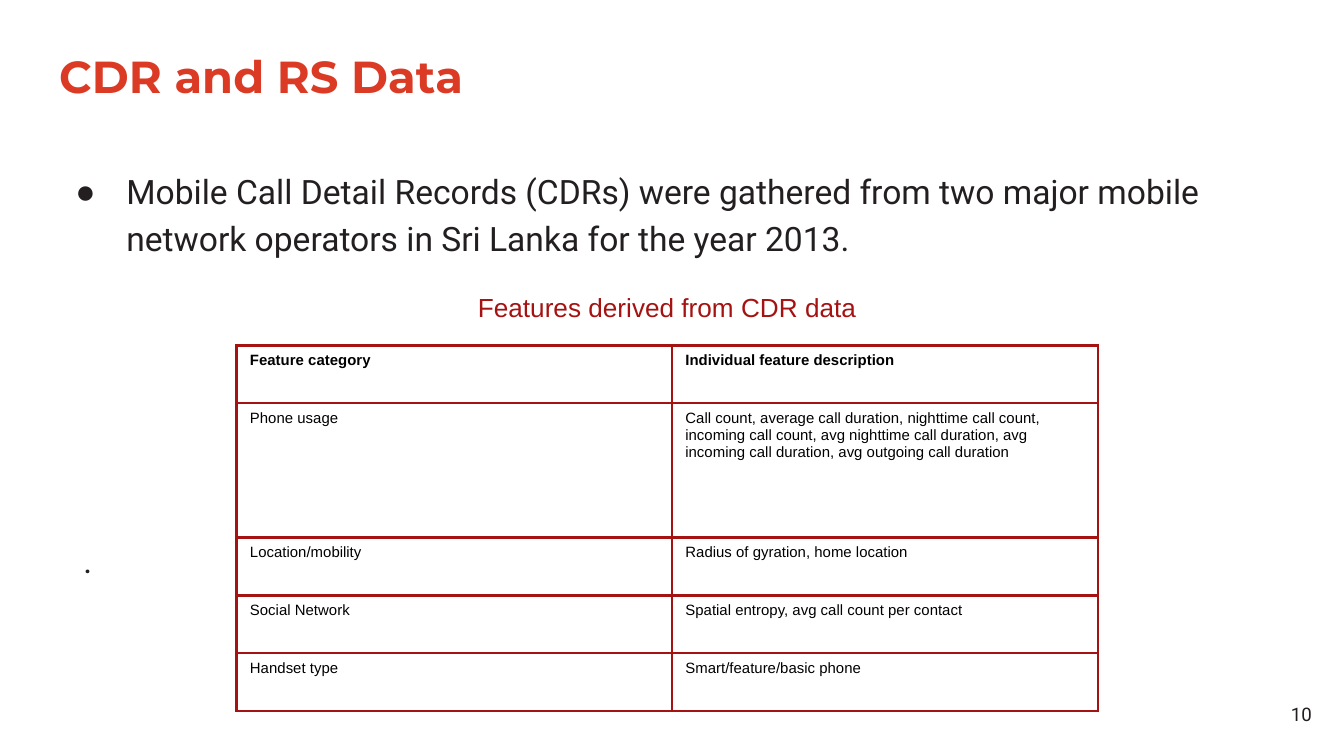
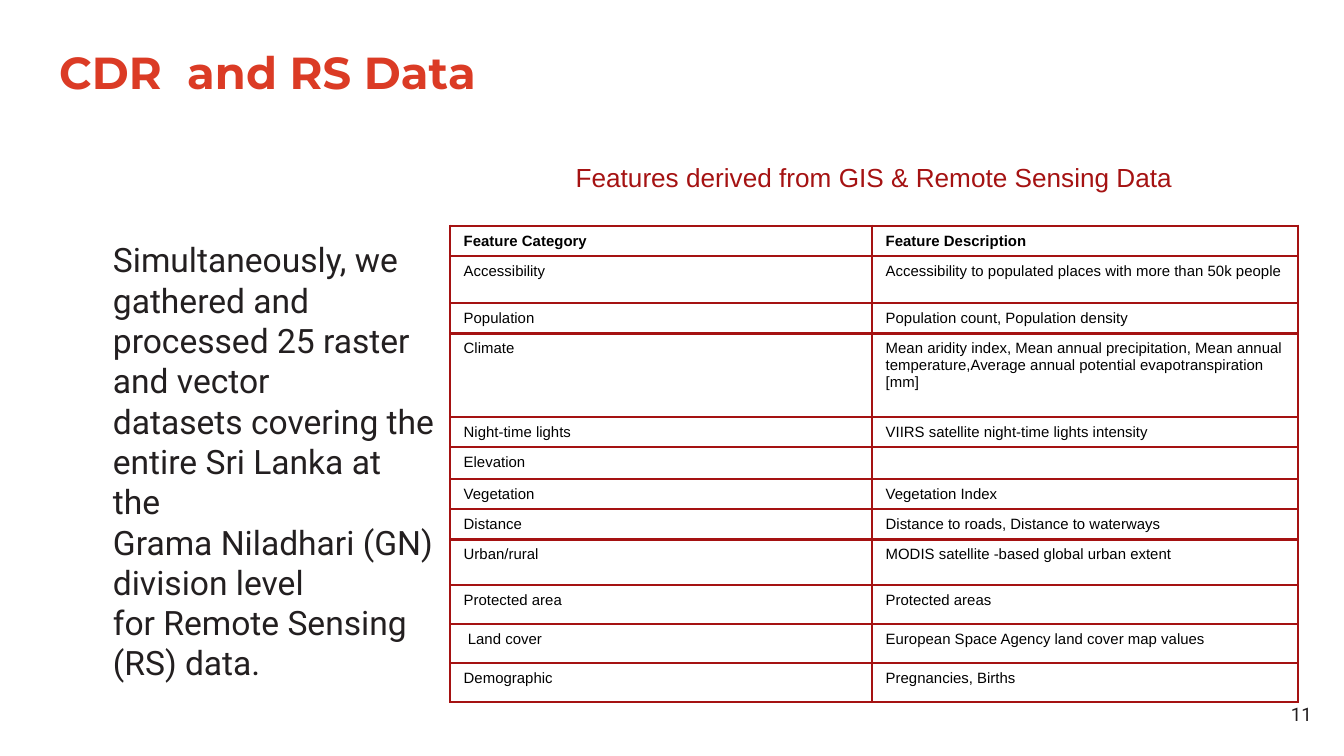
from lxml import etree
from pptx import Presentation
from pptx.dml.color import RGBColor
from pptx.enum.text import MSO_ANCHOR, MSO_AUTO_SIZE, PP_ALIGN
from pptx.oxml.ns import qn
from pptx.util import Inches, Pt

LEFT, CENTER, RIGHT = PP_ALIGN.LEFT, PP_ALIGN.CENTER, PP_ALIGN.RIGHT
TOP, MIDDLE = MSO_ANCHOR.TOP, MSO_ANCHOR.MIDDLE
FIXED = MSO_AUTO_SIZE.NONE

RED = RGBColor(0xDB, 0x3B, 0x25)
WINE = RGBColor(0xA5, 0x12, 0x12)
INK = RGBColor(0x23, 0x1F, 0x20)
BLACK = RGBColor(0, 0, 0)
HEAD, BODY, PLAIN = "Montserrat", "Roboto", "Arial"
HARD = chr(160)  # non-breaking space

CALLS = [
    ("Feature category", "Individual feature description"),
    ("Phone usage",
     "Call count, average call duration, nighttime call count, incoming call "
     "count, avg nighttime call duration, avg incoming call duration, avg "
     "outgoing call duration"),
    ("Location/mobility", "Radius of gyration, home location"),
    ("Social Network", "Spatial entropy, avg call count per contact"),
    ("Handset type", "Smart/feature/basic phone"),
]
SENSING = [
    ("Feature Category", "Feature Description"),
    ("Accessibility",
     "Accessibility to populated places with more than 50k people"),
    ("Population", "Population count, Population density"),
    ("Climate",
     "Mean aridity index, Mean annual precipitation, Mean annual "
     "temperature,Average annual potential evapotranspiration [mm]"),
    ("Night-time lights", "VIIRS satellite night-time lights intensity"),
    ("Elevation", ""),
    ("Vegetation", "Vegetation Index"),
    ("Distance", "Distance to roads, Distance to waterways"),
    ("Urban/rural", "MODIS satellite -based global urban extent"),
    ("Protected area", "Protected areas"),
    (" Land cover", "European Space Agency land cover map values"),
    ("Demographic", "Pregnancies, Births"),
]


def write(para, text, size, font, color, bold=False):
    run = para.add_run()
    run.text = text
    run.font.size = Pt(size)
    run.font.name = font
    run.font.bold = bold
    run.font.color.rgb = color


def place(shape, box, pad=0.1, anchor=TOP):
    """Move a text shape to its box and set its frame."""
    shape.left, shape.top, shape.width, shape.height = map(Inches, box)
    frame = shape.text_frame
    frame.word_wrap = True
    frame.auto_size = FIXED
    frame.vertical_anchor = anchor
    frame.margin_left = frame.margin_right = Inches(0.1)
    frame.margin_top = frame.margin_bottom = Inches(pad)
    return frame


def indent(para, left, hang=0.0, mark=None):
    """Set the indent and the bullet of a paragraph."""
    props = para._p.get_or_add_pPr()
    props.set("marL", str(Inches(left)))
    props.set("indent", str(Inches(hang)))
    if mark:
        tint = etree.SubElement(props, qn("a:buClr"))
        etree.SubElement(tint, qn("a:srgbClr"), val=str(INK))
        etree.SubElement(props, qn("a:buChar"), char=mark)
    else:
        etree.SubElement(props, qn("a:buNone"))
    para.alignment = LEFT
    para.space_before = Pt(0)


def label(slide, box, text, size, font, color, align, pad=0.05, anchor=TOP):
    shape = slide.shapes.add_textbox(*map(Inches, box))
    para = place(shape, box, pad, anchor).paragraphs[0]
    para.alignment = align
    write(para, text, size, font, color)


def edge(cell, width):
    """Draw the four borders of a cell."""
    props = cell._tc.get_or_add_tcPr()
    for spot, side in enumerate(("a:lnL", "a:lnR", "a:lnT", "a:lnB")):
        line = etree.Element(qn(side), w=str(Pt(width)))
        fill = etree.SubElement(line, qn("a:solidFill"))
        etree.SubElement(fill, qn("a:srgbClr"), val=str(WINE))
        props.insert(spot, line)


def grid(slide, box, cols, rows, data, width):
    """Two-column feature table with a bold first row."""
    frame = slide.shapes.add_table(len(rows), len(cols), *map(Inches, box))
    table = frame.table
    table.first_row = table.horz_banding = False
    for col, size in zip(table.columns, cols):
        col.width = Inches(size)
    for row, size in zip(table.rows, rows):
        row.height = Inches(size)
    for r, line in enumerate(data):
        for c, text in enumerate(line):
            cell = table.cell(r, c)
            cell.fill.background()
            edge(cell, width)
            para = cell.text_frame.paragraphs[0]
            if text:
                write(para, text, 8, PLAIN, BLACK, r == 0)
            else:
                etree.SubElement(para._p, qn("a:endParaRPr"), sz="800")


def base(deck, title, top, page):
    """Slide with the shared title style and page number."""
    slide = deck.slides.add_slide(deck.slide_layouts[1])
    para = place(slide.shapes.title, (0.34, top, 9.32, 0.63)).paragraphs[0]
    para.alignment = LEFT
    write(para, title, 24, HEAD, RED, True)
    label(slide, (9.26, 5.1, 0.6, 0.43), page, 10, BODY, INK, RIGHT,
          0.1, MIDDLE)
    return slide


def call_slide(deck):
    slide = base(deck, "CDR and RS Data", 0.26, "10")
    # Bullet, and the lone dot further down
    frame = place(slide.placeholders[1], (0.34, 1.13, 9.32, 3.74))
    para = frame.paragraphs[0]
    indent(para, 0.5, -0.38, "●")
    para.line_spacing = 1.15
    write(para, "Mobile Call Detail Records (CDRs) were gathered from two "
          "major mobile network operators in Sri Lanka for the year 2013.",
          18, BODY, INK)
    dot = frame.add_paragraph()
    indent(dot, 0.18)
    dot.line_spacing = 1.15
    dot.space_before = Pt(148)
    write(dot, ".", 18, BODY, INK)
    # Table and caption
    grid(slide, (1.76, 2.57, 6.41, 2.71), (3.24, 3.17),
         (0.43, 1, 0.43, 0.43, 0.43), CALLS, 1.54)
    label(slide, (1.66, 2.12, 6.61, 0.34), "Features derived from CDR data",
          14, PLAIN, WINE, CENTER)


def sense_slide(deck):
    slide = base(deck, f"CDR{HARD} and RS Data", 0.23, "11")
    # Table and caption
    rows = (0.22, 0.35, 0.22, 0.62, *[0.22] * 4, 0.34, *[0.29] * 3)
    grid(slide, (3.35, 1.68, 6.31, 3.61), (3.14, 3.17), rows, SENSING, 1.5)
    label(slide, (4.01, 1.15, 4.99, 0.34),
          "Features derived from GIS & Remote Sensing Data",
          14, PLAIN, WINE, CENTER)
    # Side text
    frame = place(slide.placeholders[1], (0.74, 1.73, 2.61, 3.43), 0.05)
    para = frame.paragraphs[0]
    indent(para, 0)
    write(para, "Simultaneously, we gathered and processed 25 raster and "
          f"vector datasets{HARD}covering the entire Sri Lanka at the "
          f"Grama{HARD}Niladhari{HARD}(GN) division level "
          f"for{HARD}Remote Sensing (RS) data.",
          18, BODY, INK)


def main():
    deck = Presentation()
    deck.slide_width = Inches(10)
    deck.slide_height = deck.slide_width * 9 // 16
    call_slide(deck)
    sense_slide(deck)
    deck.save("out.pptx")


if __name__ == "__main__":
    main()
